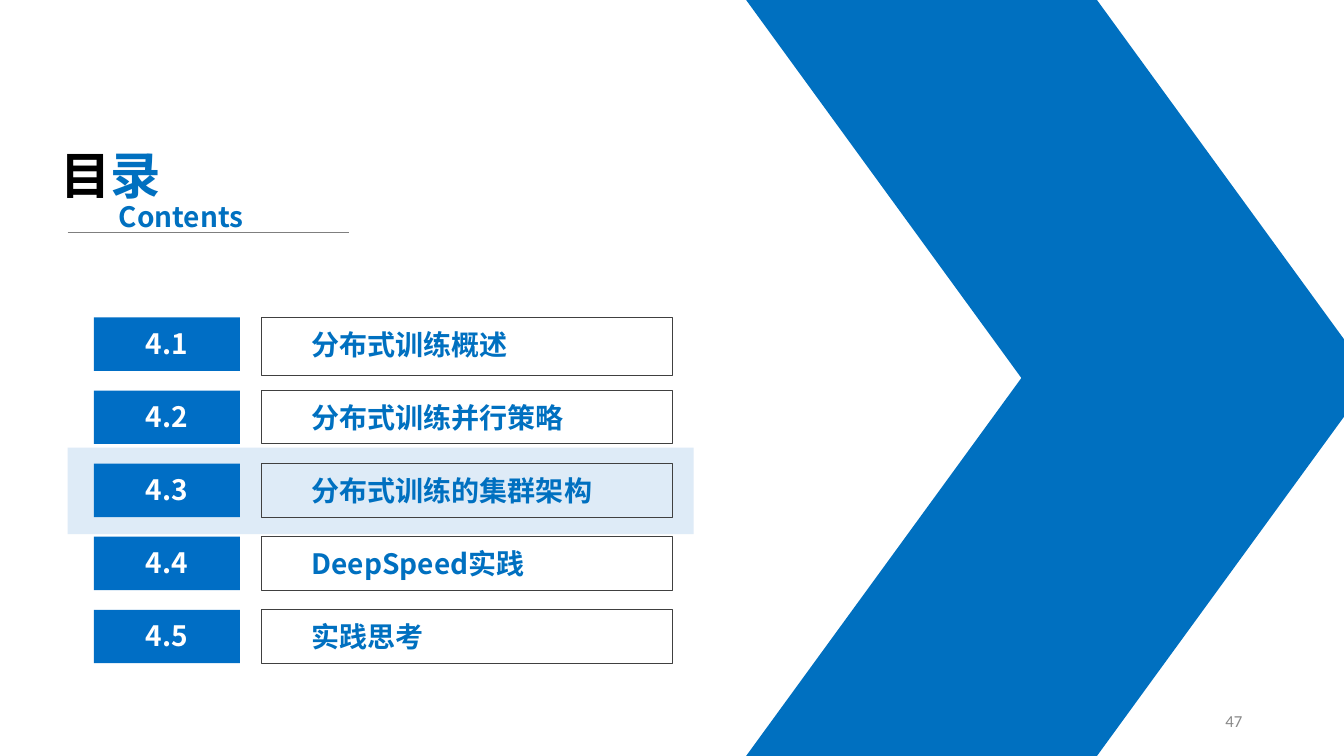
from lxml import etree
from pptx import Presentation
from pptx.dml.color import RGBColor
from pptx.enum.shapes import MSO_CONNECTOR, MSO_SHAPE
from pptx.enum.text import MSO_ANCHOR, MSO_AUTO_SIZE, PP_ALIGN
from pptx.oxml.ns import qn
from pptx.util import Inches, Pt

RECT, SLANT = MSO_SHAPE.RECTANGLE, MSO_SHAPE.PARALLELOGRAM
LINE = MSO_CONNECTOR.STRAIGHT
LEFT, CENTER, RIGHT = PP_ALIGN.LEFT, PP_ALIGN.CENTER, PP_ALIGN.RIGHT
TOP, MIDDLE = MSO_ANCHOR.TOP, MSO_ANCHOR.MIDDLE
FIXED = MSO_AUTO_SIZE.NONE
HAN = "Noto Sans CJK SC"
BLUE, TAG, PALE, WHITE = "0070C0", "006EC5", "DEEBF7", "FFFFFF"

ITEMS = ["分布式训练概述", "分布式训练并行策略", "分布式训练的集群架构",
         "DeepSpeed实践", "实践思考"]
ACTIVE = 2
PITCH = 0.725


def color(code):
    return RGBColor.from_string(code)


def inches(*sizes):
    return [Inches(size) for size in sizes]


def style(run, size, code, font=HAN, bold=True):
    run.font.size = Pt(size)
    run.font.bold = bold
    run.font.color.rgb = color(code)
    run.font.name = font
    east = etree.SubElement(run.font._element, qn("a:ea"))
    east.set("typeface", font)


def layout(frame, align, left=0.1, top=0.05, anchor=TOP):
    frame.word_wrap = True
    frame.auto_size = FIXED
    frame.vertical_anchor = anchor
    frame.margin_left, frame.margin_top = inches(left, top)
    frame.margin_right, frame.margin_bottom = inches(0.1, 0.05)
    frame.paragraphs[0].alignment = align


def block(slide, box, fill=None, line=None, kind=RECT):
    shape = slide.shapes.add_shape(kind, *inches(*box))
    shape.shadow.inherit = False
    if fill:
        shape.fill.solid()
        shape.fill.fore_color.rgb = color(fill)
    else:
        shape.fill.background()
    if line:
        shape.line.color.rgb = color(line)
        shape.line.width = Pt(0.75)
    else:
        shape.line.fill.background()
    return shape


def label(frame, text, size, code, align, font=HAN, bold=True, **place):
    frame.text = text
    layout(frame, align, **place)
    style(frame.paragraphs[0].runs[0], size, code, font, bold)


def arrow(slide, left, top, wide, high):
    """Big chevron made of two mirrored parallelograms."""
    half = high / 2
    for row in range(2):
        part = block(slide, (left, top + row * half, wide, half), BLUE, kind=SLANT)
        part.adjustments[0] = 0.728
        if row == 0:
            part._element.spPr.xfrm.set("flipV", "1")


def heading(slide, left, top):
    title = slide.shapes.title
    title.left, title.top, title.width, title.height = inches(left, top, 1.57, 0.71)
    title.text_frame.text = "目"
    para = title.text_frame.paragraphs[0]
    para.add_run().text = "录"
    layout(title.text_frame, LEFT)
    for run, code in zip(para.runs, ("000000", BLUE)):
        style(run, 36, code)

    rule = slide.shapes.add_connector(
        LINE, *inches(left + 0.17, top + 0.93, left + 2.96, top + 0.93))
    rule.line.color.rgb = color("7F7F7F")
    rule.line.width = Pt(0.5)
    etree.SubElement(rule._element.spPr, qn("a:effectLst"))

    sub = slide.shapes.add_textbox(*inches(left + 0.58, top + 0.55, 1.57, 0.44))
    label(sub.text_frame, "Contents", 20, BLUE, LEFT)


def agenda(slide, left, top):
    block(slide, (left - 0.26, top + ACTIVE * PITCH - 0.16, 6.21, 0.86), PALE)
    for row, text in enumerate(ITEMS):
        y = top + row * PITCH
        high = 0.58 if row == 0 else 0.53
        item = block(slide, (left + 1.66, y, 4.08, high), line="404040")
        label(item.text_frame, text, 20, BLUE, LEFT, left=0.5, top=0.1)
        tag = block(slide, (left, y, 1.45, 0.53), TAG)
        label(tag.text_frame, f"4.{row + 1}", 20, WHITE, CENTER, top=0.09)


def number(slide, box):
    page = slide.shapes.add_textbox(*inches(*box))
    label(page.text_frame, "47", 12, "898989", RIGHT, "Calibri", False, anchor=MIDDLE)


def main():
    deck = Presentation()
    deck.slide_width, deck.slide_height = inches(13.33, 7.5)
    slide = deck.slides.add_slide(deck.slide_layouts[5])
    arrow(slide, 7.4, 0, 6.21, 7.5)
    heading(slide, 0.5, 1.38)
    agenda(slide, 0.93, 3.15)
    number(slide, (9.42, 6.95, 3, 0.4))
    deck.save("out.pptx")


if __name__ == "__main__":
    main()
